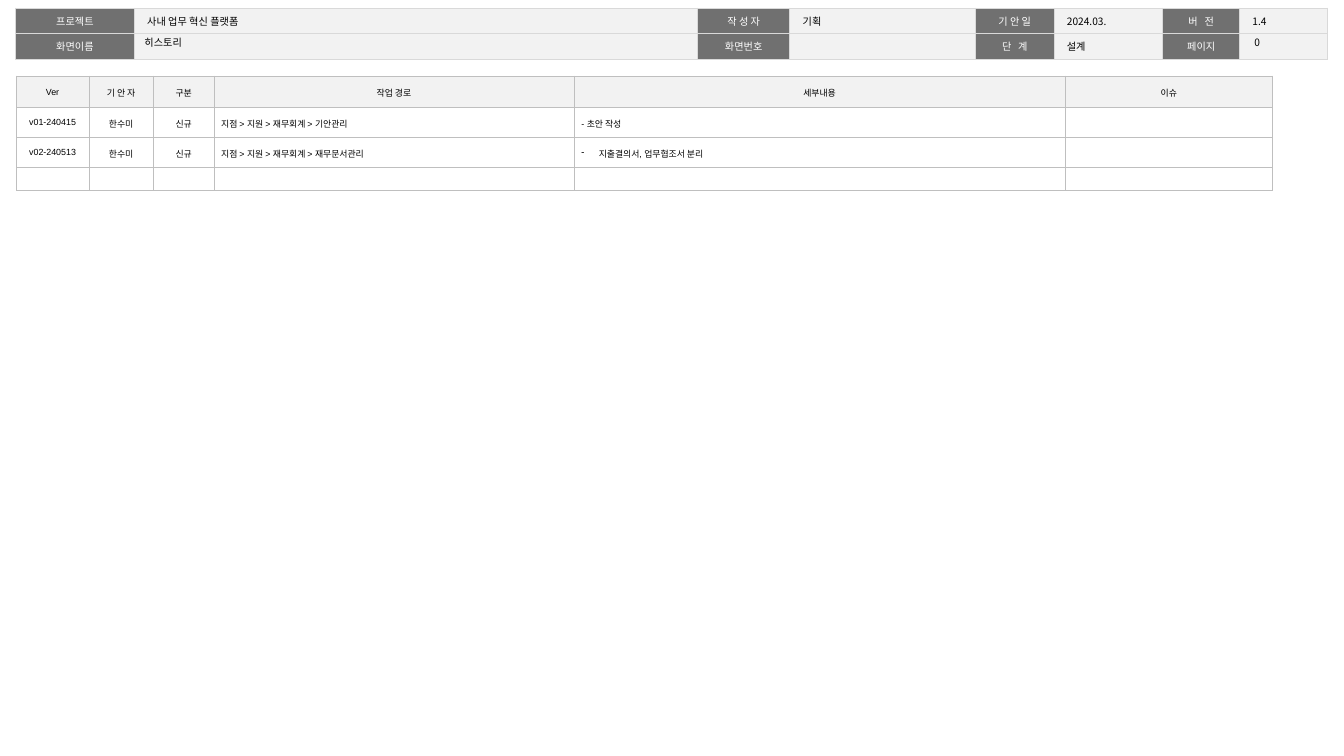
from lxml import etree
from pptx import Presentation
from pptx.dml.color import RGBColor
from pptx.enum.text import MSO_ANCHOR as Anchor, MSO_AUTO_SIZE as AutoSize, PP_ALIGN as Align
from pptx.oxml.ns import qn
from pptx.util import Inches, Pt

COLORS = {"label": "707070", "panel": "F2F2F2", "white": "FFFFFF", "ink": "000000",
          "header_line": "D9D9D9", "history_line": "BFBFBF"}
KOREAN = "Noto Sans CJK KR"


def style_para(para, size, font=KOREAN, color="ink", align=Align.LEFT, spacing=1.0):
    para.alignment = align
    para.line_spacing = spacing
    for span in para.runs:
        span.font.size = Pt(size)
        span.font.name = font
        span.font.color.rgb = RGBColor.from_string(COLORS[color])
        east_asian = etree.SubElement(span.font._element, qn("a:ea"))
        east_asian.set("typeface", KOREAN)
    if not para.runs:
        # An empty cell keeps its row low only with a small end mark
        end_mark = etree.SubElement(para._p, qn("a:endParaRPr"))
        end_mark.set("sz", str(size * 100))


def style_cell(cell, fill, line, line_width, margins, anchor):
    cell.margin_left, cell.margin_top, cell.margin_right, cell.margin_bottom = map(Inches, margins)
    cell.vertical_anchor = anchor
    props = cell._tc.get_or_add_tcPr()
    for side in ("a:lnL", "a:lnR", "a:lnT", "a:lnB"):
        border = etree.SubElement(props, qn(side), w=str(Pt(line_width)))
        paint = etree.SubElement(border, qn("a:solidFill"))
        etree.SubElement(paint, qn("a:srgbClr"), val=COLORS[line])
    cell.fill.solid()
    cell.fill.fore_color.rgb = RGBColor.from_string(COLORS[fill])


deck = Presentation()
deck.slide_width, deck.slide_height = Inches(14.7), Inches(8.27)
page = deck.slides.add_slide(deck.slide_layouts[5])

# Both tables: place, column widths, row heights and wording
header = {
    "at": (0.17, 0.09),
    "columns": [1.3, 6.16, 1.01, 2.03, 0.86, 1.19, 0.84, 0.96],
    "rows": [0.28, 0.28],
    "texts": [
        ["프로젝트", "사내 업무 혁신 플랫폼", "작 성 자", "기획", "기 안 일", "2024.03.", "버 전", "1.4"],
        ["화면이름", "", "화면번호", "", "단 계", "설계", "페이지", ""],
    ],
}
history = {
    "at": (0.18, 0.83),
    "columns": [0.79, 0.71, 0.66, 3.94, 5.37, 2.27],
    "rows": [0.34, 0.33, 0.33, 0.25],
    "texts": [
        ["Ver", "기 안 자", "구분", "작업 경로", "세부내용", "이슈"],
        ["v01-240415", "한수미", "신규", "지점 > 지원 > 재무회계 > 기안관리", "- 초안 작성", ""],
        ["v02-240513", "한수미", "신규", "지점 > 지원 > 재무회계 > 재무문서관리",
         "지출결의서, 업무협조서 분리", ""],
        [""] * 6,
    ],
}
for part in (header, history):
    widths, heights = part["columns"], part["rows"]
    size = (sum(widths), sum(heights))
    frame = page.shapes.add_table(len(heights), len(widths), *map(Inches, part["at"] + size))
    table = part["table"] = frame.table
    table.first_row = table.horz_banding = False
    for column, width in zip(table.columns, widths):
        column.width = Inches(width)
    for row, height in zip(table.rows, heights):
        row.height = Inches(height)
    for row, texts in zip(table.rows, part["texts"]):
        for cell, text in zip(row.cells, texts):
            cell.text_frame.text = text

# Project header: dark labels alternate with light values
for row in header["table"].rows:
    for index, cell in enumerate(row.cells):
        is_label = index % 2 == 0
        style_cell(cell, "label" if is_label else "panel", "header_line", 1,
                   (0.14, 0.05, 0.14, 0.05), Anchor.TOP)
        para = cell.text_frame.paragraphs[0]
        style_para(para, 8, color="white" if is_label else "ink",
                   align=Align.CENTER if is_label else Align.LEFT, spacing=1.05)
        if cell.text_frame.text in ("버 전", "단 계"):
            para.runs[0].font._element.set("spc", "180")

# Change history: path and detail texts are left-aligned below the heading
for row_index, row in enumerate(history["table"].rows):
    for index, cell in enumerate(row.cells):
        is_heading = row_index == 0
        style_cell(cell, "panel" if is_heading else "white", "history_line", 0.25,
                   (0.08, 0.04, 0.08, 0.08), Anchor.MIDDLE)
        centred = is_heading or index < 3
        style_para(cell.text_frame.paragraphs[0], 7, font="Arial",
                   align=Align.CENTER if centred else Align.LEFT, spacing=1.5)

# Dash bullet of the second entry
bullet_props = history["table"].cell(2, 4).text_frame.paragraphs[0]._p.get_or_add_pPr()
bullet_props.set("marL", str(Inches(0.19)))
bullet_props.set("indent", str(-Inches(0.19)))
etree.SubElement(bullet_props, qn("a:buChar"), char="-")

# Screen title and page number sit on the second header row
title = page.shapes.title
page.shapes._spTree.append(title._element)
number = page.shapes.add_textbox(0, 0, 0, 0)
for box, text, left, width, inset in ((title, "히스토리", 1.47, 5.42, 0.11),
                                      (number, "0", 13.62, 0.72, 0.1)):
    box.left, box.top, box.width, box.height = map(Inches, (left, 0.38, width, 0.16))
    words = box.text_frame
    words.text = text
    words.word_wrap = True
    words.auto_size = AutoSize.NONE
    words.vertical_anchor = Anchor.MIDDLE
    words.margin_left = words.margin_right = Inches(inset)
    words.margin_top = words.margin_bottom = Inches(0.05)
    style_para(words.paragraphs[0], 8)

deck.save("out.pptx")
